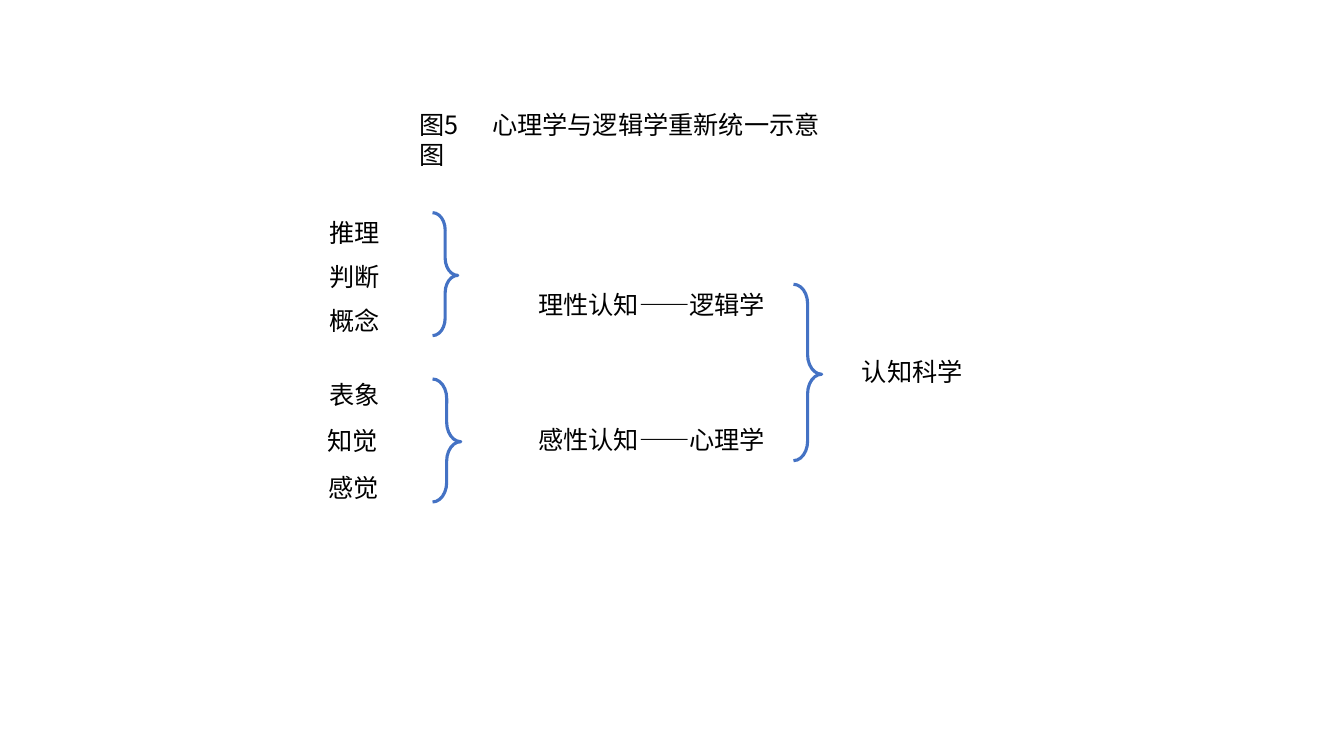
from lxml import etree
from pptx import Presentation
from pptx.dml.color import RGBColor
from pptx.enum.shapes import MSO_SHAPE
from pptx.enum.text import MSO_ANCHOR, MSO_AUTO_SIZE, PP_ALIGN
from pptx.oxml.ns import qn
from pptx.util import Inches, Pt

BRACE = MSO_SHAPE.RIGHT_BRACE
TOP, LEFT, GROW = MSO_ANCHOR.TOP, PP_ALIGN.LEFT, MSO_AUTO_SIZE.SHAPE_TO_FIT_TEXT
COLORS = {"text": "000000", "brace": "4472C4"}
FONT = "Noto Sans CJK SC"
ROW_HEIGHT = 0.4

# Text, left, top, width
LABELS = [
    ("推理", 3.17, 2.11, 0.71),
    ("判断", 3.17, 2.54, 0.71),
    ("概念", 3.17, 2.98, 0.71),
    ("表象", 3.17, 3.71, 0.71),
    ("知觉", 3.15, 4.17, 0.71),
    ("感觉", 3.16, 4.64, 0.71),
    ("理性认知——逻辑学", 5.24, 2.82, 2.47),
    ("感性认知——心理学", 5.24, 4.16, 2.47),
    ("认知科学", 8.45, 3.49, 1.21),
]
# Left, top, width, height
BRACES = [
    (4.29, 2.11, 0.25, 1.22),
    (4.29, 3.76, 0.28, 1.22),
    (7.87, 2.82, 0.28, 1.75),
]


def write_text(box, text, wrap):
    frame = box.text_frame
    settings = {"word_wrap": wrap, "auto_size": GROW, "vertical_anchor": TOP}
    for name, value in settings.items():
        setattr(frame, name, value)
    para = frame.paragraphs[0]
    para.alignment = LEFT
    span = para.add_run()
    span.text = text
    for name, value in {"name": FONT, "size": Pt(18), "bold": False}.items():
        setattr(span.font, name, value)
    span.font.color.rgb = RGBColor.from_string(COLORS["text"])
    # East Asian characters take their own font setting
    etree.SubElement(span.font._element, qn("a:ea"), typeface=FONT)
    return para


def add_title(page, text, left, top, width, tab):
    box = page.shapes.title
    place = {"left": left, "top": top, "width": width, "height": ROW_HEIGHT}
    for name, value in place.items():
        setattr(box, name, Inches(value))
    para = write_text(box, text, True)
    stops = etree.SubElement(para._p.get_or_add_pPr(), qn("a:tabLst"))
    etree.SubElement(stops, qn("a:tab"), pos=str(Inches(tab)), algn="l")


def add_label(page, text, left, top, width):
    place = [Inches(value) for value in (left, top, width, ROW_HEIGHT)]
    write_text(page.shapes.add_textbox(*place), text, False)


def add_brace(page, *place):
    brace = page.shapes.add_shape(BRACE, *[Inches(value) for value in place])
    brace.shadow.inherit = False
    brace.fill.background()
    brace.line.color.rgb = RGBColor.from_string(COLORS["brace"])
    brace.line.width = Pt(2.25)
    brace.adjustments[0] = 0.69
    brace.adjustments[1] = 0.51


def main():
    deck = Presentation()
    deck.slide_width, deck.slide_height = Inches(13.33), Inches(7.5)
    page = deck.slides.add_slide(deck.slide_layouts[5])

    # Caption, with a tab stop after the figure number
    add_title(page, "图5\t心理学与逻辑学重新统一示意图", 4.06, 1.03, 4.2, 0.72)

    # Concepts and the braces that join them
    for label in LABELS:
        add_label(page, *label)
    for brace in BRACES:
        add_brace(page, *brace)

    deck.save("out.pptx")


if __name__ == "__main__":
    main()
